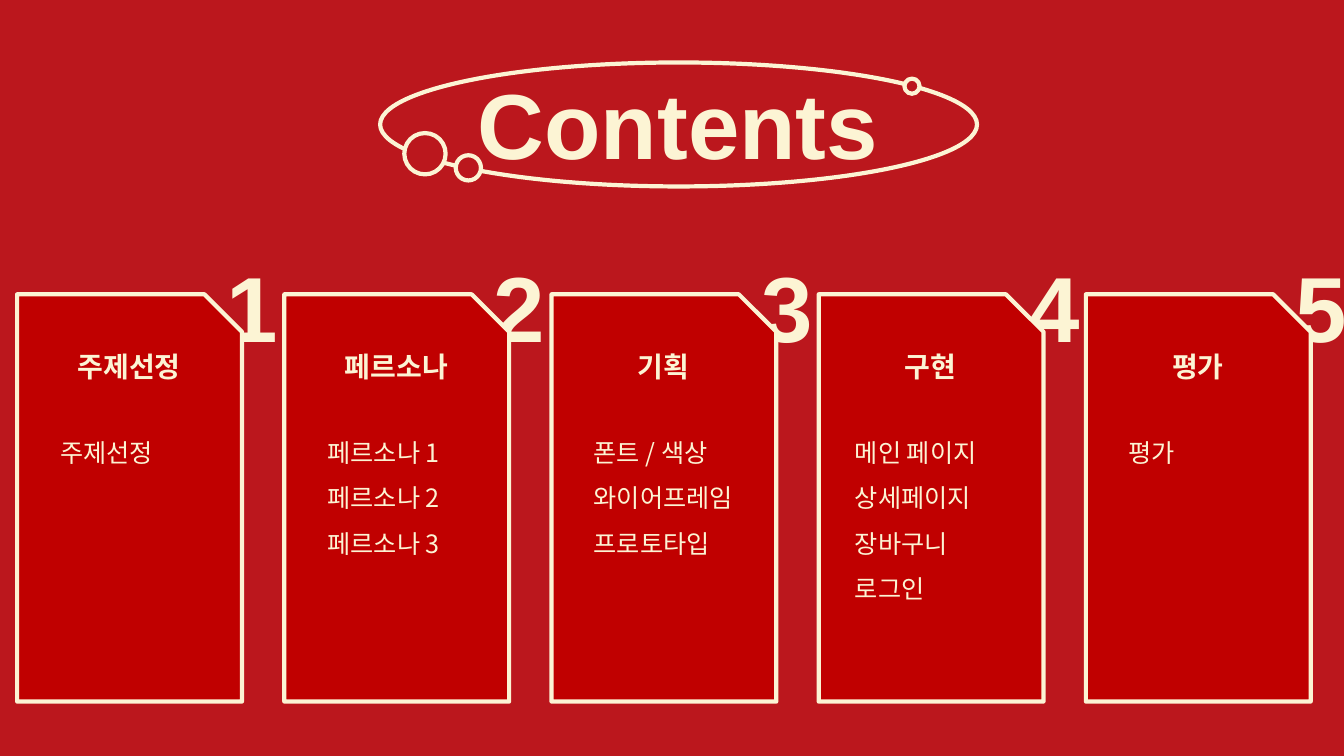
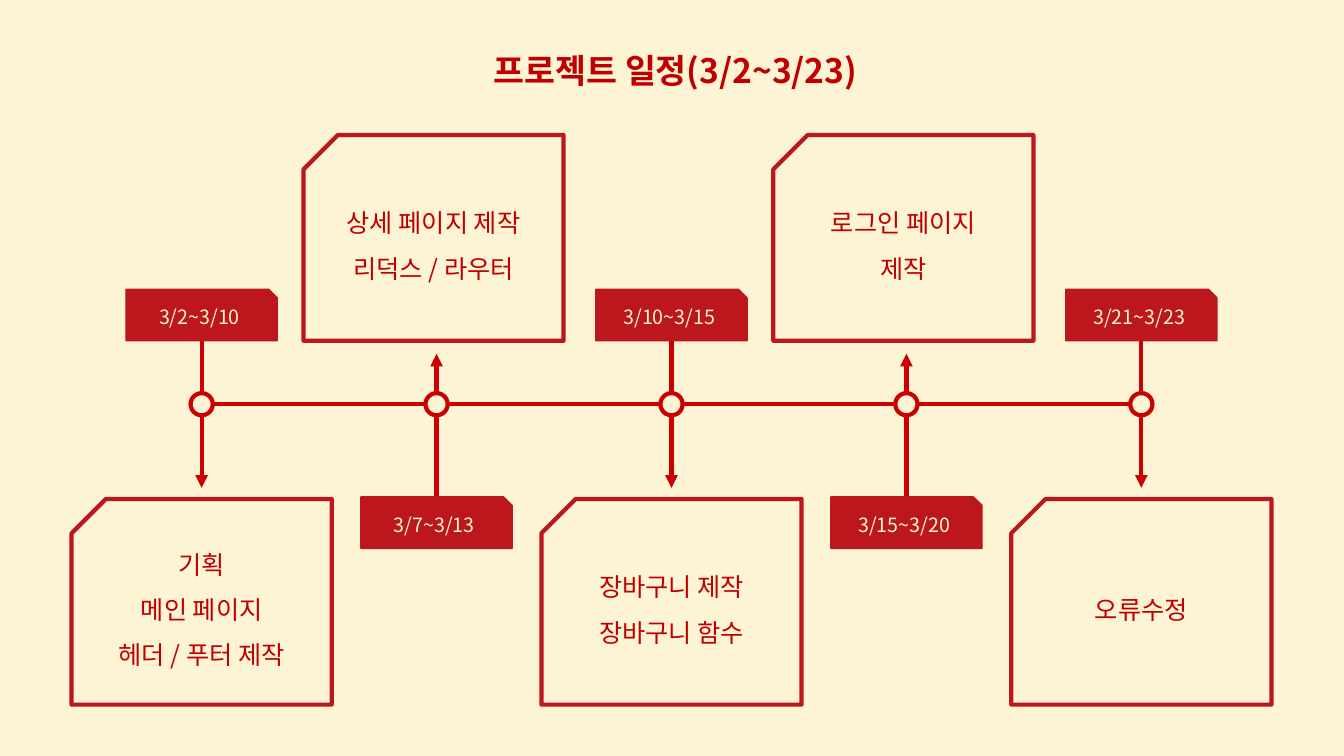
from dataclasses import dataclass

from pptx import Presentation
from pptx.dml.color import RGBColor
from pptx.enum.shapes import MSO_CONNECTOR as Connector, MSO_SHAPE as Shape
from pptx.enum.text import MSO_ANCHOR as Anchor, PP_ALIGN as Align
from pptx.oxml.ns import qn
from pptx.util import Inches, Pt


@dataclass(frozen=True)
class Theme:
    cream: str = "FCF4D4"
    crimson: str = "BB171D"
    red: str = "C00000"
    line_red: str = "CC0000"
    latin_font: str = "Arial"
    korean_font: str = "Noto Sans CJK KR"
    display_size: int = 66
    title_size: int = 24
    heading_size: int = 20
    body_size: int = 18
    tag_size: int = 14
    outline: int = 3
    body_spacing: float = 1.5


class Deck:
    def __init__(self, theme):
        self.theme = theme
        self.presentation = Presentation()
        self.presentation.slide_width = Inches(13.33)
        self.presentation.slide_height = Inches(7.5)
        self.slide = None

    def add_slide(self, background):
        layout = self.presentation.slide_layouts[6]
        self.slide = self.presentation.slides.add_slide(layout)
        fill = self.slide.background.fill
        fill.solid()
        fill.fore_color.rgb = RGBColor.from_string(background)

    def set_text(self, text_frame, lines, size, color, font=None, bold=False,
                 align=Align.CENTER, spacing=None, anchor=Anchor.TOP):
        text_frame.word_wrap = True
        text_frame.vertical_anchor = anchor
        text_frame.text = "\n".join(lines)
        font = font or self.theme.korean_font
        for paragraph in text_frame.paragraphs:
            paragraph.alignment = align
            if spacing:
                paragraph.line_spacing = spacing
            for run in paragraph.runs:
                run.font.name = font
                run.font.size = Pt(size)
                run.font.bold = bold
                run.font.color.rgb = RGBColor.from_string(color)
                east_asian = run.font._element.makeelement(qn("a:ea"), {"typeface": font})
                run.font._element.find(qn("a:latin")).addnext(east_asian)

    def text(self, left, top, width, height, lines, size, color, **style):
        box = self.slide.shapes.add_textbox(
            Inches(left), Inches(top), Inches(width), Inches(height))
        self.set_text(box.text_frame, lines, size, color, **style)

    def shape(self, kind, left, top, width, height, fill, line, weight=None):
        shape = self.slide.shapes.add_shape(
            kind, Inches(left), Inches(top), Inches(width), Inches(height))
        shape.shadow.inherit = False
        if fill:
            shape.fill.solid()
            shape.fill.fore_color.rgb = RGBColor.from_string(fill)
        else:
            shape.fill.background()
        shape.line.color.rgb = RGBColor.from_string(line)
        shape.line.width = Pt(weight or self.theme.outline)
        return shape

    def line(self, start, end, arrow=False):
        connector = self.slide.shapes.add_connector(
            Connector.STRAIGHT, *(Inches(value) for value in (*start, *end)))
        connector.line.color.rgb = RGBColor.from_string(self.theme.line_red)
        connector.line.width = Pt(self.theme.outline)
        properties = connector._element.spPr
        if arrow:
            outline = properties.find(qn("a:ln"))
            outline.append(outline.makeelement(qn("a:tailEnd"), {"type": "triangle"}))
        properties.append(properties.makeelement(qn("a:effectLst"), {}))

    def contents_card(self, left, number, heading, lines, body_left):
        theme = self.theme
        self.text(left + 1.98, 2.43, 0.49, 1.21, [number], theme.display_size,
                  theme.cream, font=theme.latin_font, bold=True)
        self.shape(Shape.SNIP_1_RECTANGLE, left, 2.92, 2.23, 4.04, theme.red, theme.cream)
        self.text(left + 0.32, 3.42, 1.58, 0.44, [heading], theme.heading_size,
                  theme.cream, bold=True)
        self.text(left + body_left, 4.14, 1.65, 0.04 + 0.46 * len(lines), lines,
                  theme.body_size, theme.cream, align=Align.LEFT,
                  spacing=theme.body_spacing)

    def date_tag(self, center, top, dates):
        theme = self.theme
        tag = self.shape(Shape.SNIP_1_RECTANGLE, center - 0.75, top, 1.5, 0.51,
                         theme.crimson, theme.crimson, 1)
        self.set_text(tag.text_frame, [dates], theme.tag_size, theme.cream,
                      anchor=Anchor.MIDDLE)

    def task_box(self, center, middle, lines):
        """Draw a box with its top left corner snipped, and upright text over it."""
        theme = self.theme
        width, height = 2.04, 2.58
        box = self.shape(Shape.SNIP_1_RECTANGLE, center - width / 2, middle - height / 2,
                         width, height, theme.cream, theme.crimson)
        box.rotation = 270
        self.text(center - 1.05, middle - 0.75, 2.1, 1.5, lines, theme.body_size,
                  theme.red, spacing=theme.body_spacing, anchor=Anchor.MIDDLE)


def build_contents(deck):
    theme = deck.theme
    deck.add_slide(theme.crimson)
    deck.text(3.52, 0.62, 6.41, 1.21, ["Contents"], theme.display_size, theme.cream,
              font=theme.latin_font, bold=True)
    deck.shape(Shape.OVAL, 3.77, 0.62, 5.92, 1.23, None, theme.cream)
    for left, top, size in ((8.97, 0.78, 0.15), (4.01, 1.32, 0.41), (4.52, 1.54, 0.25)):
        deck.shape(Shape.OVAL, left, top, size, size, theme.crimson, theme.cream)

    cards = (
        ("주제선정", ["주제선정"], 0.33),
        ("페르소나", ["페르소나 1", "페르소나 2", "페르소나 3"], 0.33),
        ("기획", ["폰트 / 색상", "와이어프레임", "프로토타입"], 0.32),
        ("구현", ["메인 페이지", "상세페이지", "장바구니", "로그인"], 0.26),
        ("평가", ["평가"], 0.32),
    )
    for index, (heading, lines, body_left) in enumerate(cards):
        deck.contents_card(0.17 + 2.65 * index, str(index + 1), heading, lines, body_left)


def build_schedule(deck):
    theme = deck.theme
    deck.add_slide(theme.cream)
    deck.text(4.68, 0.45, 4.04, 0.5, ["프로젝트 일정(3/2~3/23)"], theme.title_size,
              theme.red, bold=True)

    steps = (
        ("3/2~3/10", ["기획", "메인 페이지", "헤더 / 푸터 제작"]),
        ("3/7~3/13", ["상세 페이지 제작", "리덕스 / 라우터"]),
        ("3/10~3/15", ["장바구니 제작", "장바구니 함수"]),
        ("3/15~3/20", ["로그인 페이지", "제작"]),
        ("3/21~3/23", ["오류수정"]),
    )
    axis, first, pitch, node = 4.01, 2.0, 2.33, 0.22
    last = first + pitch * (len(steps) - 1)
    deck.line((first, axis), (last, axis))
    for index, (dates, lines) in enumerate(steps):
        center = first + pitch * index
        if index % 2:
            deck.line((center, 4.93), (center, 3.51), arrow=True)
            deck.date_tag(center, 4.93, dates)
            deck.task_box(center - 0.03, 2.36, lines)
        else:
            deck.line((center, 3.38), (center, 4.84), arrow=True)
            deck.date_tag(center, 2.87, dates)
            deck.task_box(center, 5.97, lines)
        deck.shape(Shape.OVAL, center - node / 2, axis - node / 2, node, node,
                   theme.cream, theme.line_red)


def main():
    deck = Deck(Theme())
    build_contents(deck)
    build_schedule(deck)
    deck.presentation.save("out.pptx")


if __name__ == "__main__":
    main()
